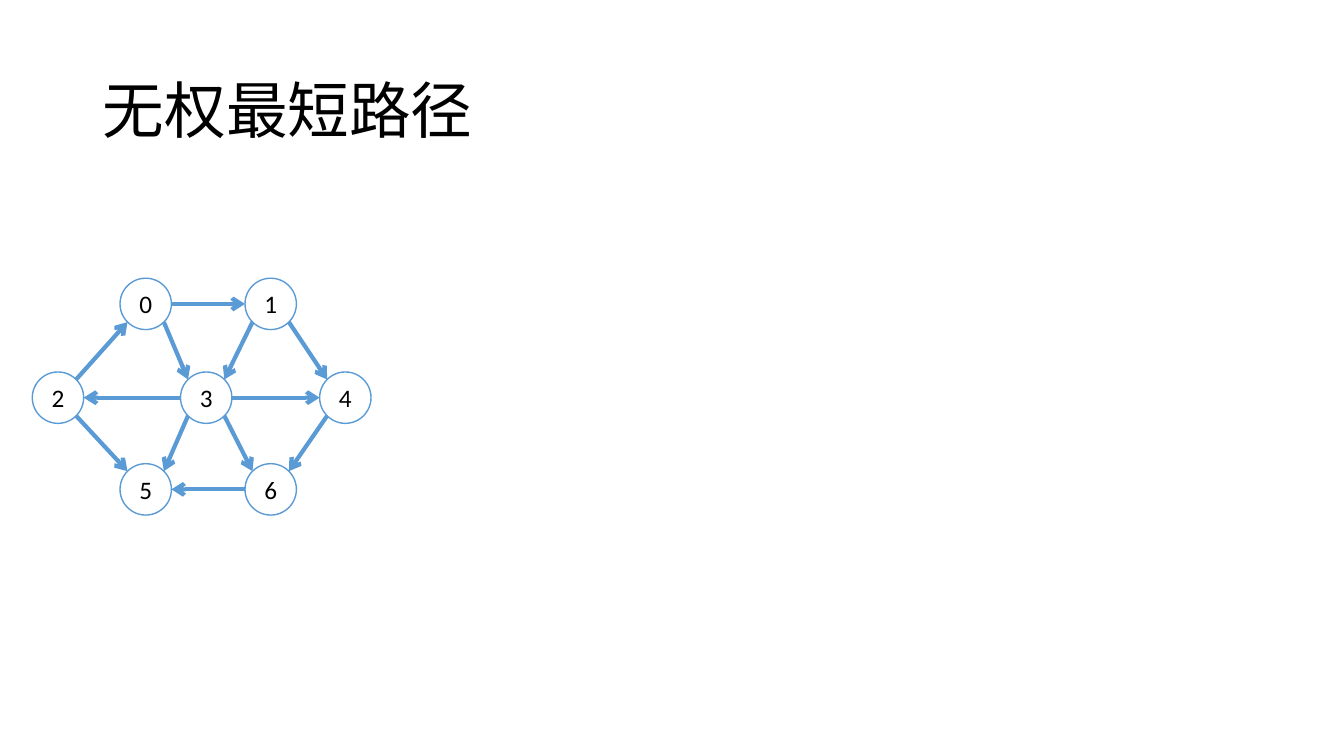
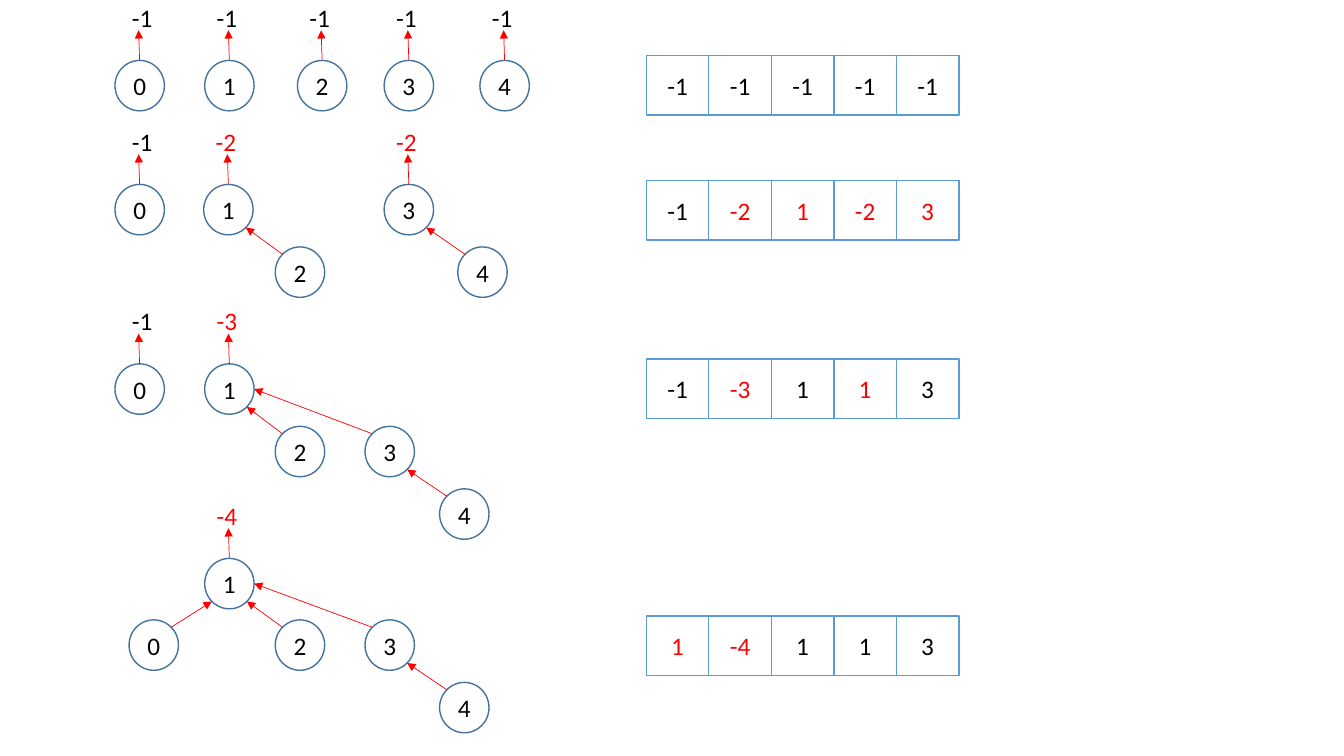
from math import cos, radians, sin

from lxml import etree
from pptx import Presentation
from pptx.dml.color import RGBColor
from pptx.enum.shapes import MSO_CONNECTOR, MSO_SHAPE
from pptx.enum.text import MSO_ANCHOR, MSO_AUTO_SIZE, PP_ALIGN
from pptx.oxml.ns import qn
from pptx.util import Inches, Pt

STRAIGHT = MSO_CONNECTOR.STRAIGHT
OVAL, RECTANGLE = MSO_SHAPE.OVAL, MSO_SHAPE.RECTANGLE
MIDDLE, NO_FIT = MSO_ANCHOR.MIDDLE, MSO_AUTO_SIZE.NONE
LEFT, CENTER = PP_ALIGN.LEFT, PP_ALIGN.CENTER
TITLE_ONLY, BLANK = 5, 6

COLORS = {"white": "FFFFFF", "black": "000000", "red": "FF0000",
          "blue": "5B9BD5", "steel": "43739E"}
FONT = "Calibri"
GRAPH_ARROW = {"color": "blue", "width": 3, "head": "arrow"}
TREE_ARROW = {"color": "red", "width": 0.5, "head": "triangle"}

# Connection sites of an oval run counter-clockwise from the top
TOP, LEFT_SITE, RIGHT_SITE = 0, 2, 6
CORNERS = {(False, False): 1, (False, True): 3, (True, True): 5, (True, False): 7}

# Directed graph
GRAPH_SIZE = (0.51, 0.51)
GRAPH_NODES = [(1.19, 2.76), (2.43, 2.76), (0.32, 3.69), (1.79, 3.69),
               (3.17, 3.69), (1.19, 4.6), (2.43, 4.6)]
GRAPH_EDGES = [(0, 1), (1, 4), (1, 3), (2, 0), (0, 3), (3, 2),
               (3, 5), (3, 6), (6, 5), (4, 6), (3, 4), (2, 5)]

# Union-find stages: array, changed indexes, node corners, top of the array
TREE_SIZE = (0.49, 0.5)
STAGES = [
    ([-1, -1, -1, -1, -1], set(),
     [(1.14, 0.6), (2.03, 0.6), (2.95, 0.6), (3.81, 0.6), (4.76, 0.6)], 0.55),
    ([-1, -2, 1, -2, 3], {1, 2, 3, 4},
     [(1.14, 1.83), (2.02, 1.83), (2.73, 2.45), (3.81, 1.83), (4.54, 2.45)], 1.79),
    ([-1, -3, 1, 1, 3], {1, 3},
     [(1.14, 3.61), (2.03, 3.61), (2.73, 4.23), (3.62, 4.23), (4.36, 4.85)], 3.56),
    ([1, -4, 1, 1, 3], {0, 1},
     [(1.28, 6.15), (2.03, 5.54), (2.73, 6.15), (3.62, 6.15), (4.36, 6.77)], 6.11),
]
ARRAY_LEFT, CELL_WIDTH, CELL_HEIGHT = 6.41, 0.62, 0.59


def site_point(shape, site):
    """Return the position of a connection site on an oval."""
    angle = radians(90 + 45 * site)
    x = shape.left + shape.width / 2 * (1 + cos(angle))
    y = shape.top + shape.height / 2 * (1 - sin(angle))
    return round(x), round(y)


def choose_sites(start, end):
    """Pick the facing sites; a distant child reaches its parent's side."""
    across, down = end.left - start.left, end.top - start.top
    if down == 0:
        begin_site = RIGHT_SITE if across > 0 else LEFT_SITE
    else:
        begin_site = CORNERS[across > 0, down > 0]
    end_site = (begin_site + 4) % 8
    if down and abs(across) > Inches(1):
        end_site = LEFT_SITE if across > 0 else RIGHT_SITE
    return begin_site, end_site


class Painter:
    def __init__(self):
        self.deck = Presentation()
        self.deck.slide_width = Inches(13.33)
        self.deck.slide_height = Inches(7.5)
        self.page = None

    def color(self, name):
        return RGBColor.from_string(COLORS[name])

    def new_page(self, layout):
        self.page = self.deck.slides.add_slide(self.deck.slide_layouts[layout])

    def group(self):
        return self.page.shapes.add_group_shape().shapes

    def add_text(self, frame, text, size=18, color="black", align=LEFT):
        para = frame.paragraphs[0]
        para.alignment = align
        span = para.add_run()
        span.text = text
        span.font.name = FONT
        span.font.size = Pt(size)
        span.font.color.rgb = self.color(color)
        return para

    def title(self, text):
        box = self.page.shapes.title
        box.left, box.top = Inches(0.92), Inches(0.4)
        box.width, box.height = Inches(11.5), Inches(1.45)
        box.text_frame.auto_size = NO_FIT
        box.text_frame.vertical_anchor = MIDDLE
        self.add_text(box.text_frame, text, size=44).line_spacing = 0.9

    def shape(self, shapes, kind, corner, size, text, line, color="black"):
        box = shapes.add_shape(kind, *map(Inches, corner + size))
        box.shadow.inherit = False
        box.fill.solid()
        box.fill.fore_color.rgb = self.color("white")
        box.line.color.rgb = self.color(line)
        box.line.width = Pt(1)
        box.text_frame.vertical_anchor = MIDDLE
        self.add_text(box.text_frame, text, color=color, align=CENTER)
        return box

    def nodes(self, shapes, corners, size, line):
        return [self.shape(shapes, OVAL, corner, size, str(number), line)
                for number, corner in enumerate(corners)]

    def arrow(self, shapes, begin, end, color, width, head):
        arrow = shapes.add_connector(STRAIGHT, *begin, *end)
        arrow.line.color.rgb = self.color(color)
        arrow.line.width = Pt(width)
        properties = arrow._element.spPr
        etree.SubElement(properties.find(qn("a:ln")), qn("a:tailEnd"), type=head)
        etree.SubElement(properties, qn("a:effectLst"))
        return arrow

    def edge(self, shapes, start, end, style):
        sites = choose_sites(start, end)
        arrow = self.arrow(shapes, site_point(start, sites[0]),
                           site_point(end, sites[1]), **style)
        # Glue to the eight sites of an oval
        joints = arrow._element.nvCxnSpPr.cNvCxnSpPr
        for tag, node, site in zip(("a:stCxn", "a:endCxn"), (start, end), sites):
            etree.SubElement(joints, qn(tag), id=str(node.shape_id), idx=str(site))

    def root_value(self, node, value, color, shift):
        x, y = site_point(node, TOP)
        arrow = self.arrow(self.page.shapes, (x, y),
                           (x - Inches(0.01), y - Inches(0.3)), **TREE_ARROW)
        arrow.begin_connect(node, TOP)
        box = self.page.shapes.add_textbox(
            node.left + Inches(shift), node.top - Inches(0.63),
            Inches(0.41), Inches(0.4))
        box.text_frame.word_wrap = False
        self.add_text(box.text_frame, str(value), color=color)

    def forest(self, values, colors, corners):
        shapes = self.page.shapes
        nodes = self.nodes(shapes, corners, TREE_SIZE, "steel")
        for index, value in enumerate(values):
            if value < 0:
                # A negative entry marks a root and its tree size
                shift = 0.02 if index else 0.07
                self.root_value(nodes[index], value, colors[index], shift)
            else:
                self.edge(shapes, nodes[index], nodes[value], TREE_ARROW)

    def array(self, values, colors, top):
        shapes = self.group()
        for index, (value, color) in enumerate(zip(values, colors)):
            corner = (ARRAY_LEFT + index * CELL_WIDTH, top)
            self.shape(shapes, RECTANGLE, corner, (CELL_WIDTH, CELL_HEIGHT),
                       str(value), "blue", color)


def main():
    painter = Painter()

    # Unweighted shortest path
    painter.new_page(TITLE_ONLY)
    painter.title("无权最短路径")
    graph = painter.group()
    nodes = painter.nodes(graph, GRAPH_NODES, GRAPH_SIZE, "blue")
    for start, end in GRAPH_EDGES:
        painter.edge(graph, nodes[start], nodes[end], GRAPH_ARROW)

    # Union-find stages
    painter.new_page(BLANK)
    for values, changed, corners, array_top in STAGES:
        colors = ["red" if index in changed else "black"
                  for index in range(len(values))]
        painter.forest(values, colors, corners)
        painter.array(values, colors, array_top)

    painter.deck.save("out.pptx")


if __name__ == "__main__":
    main()
